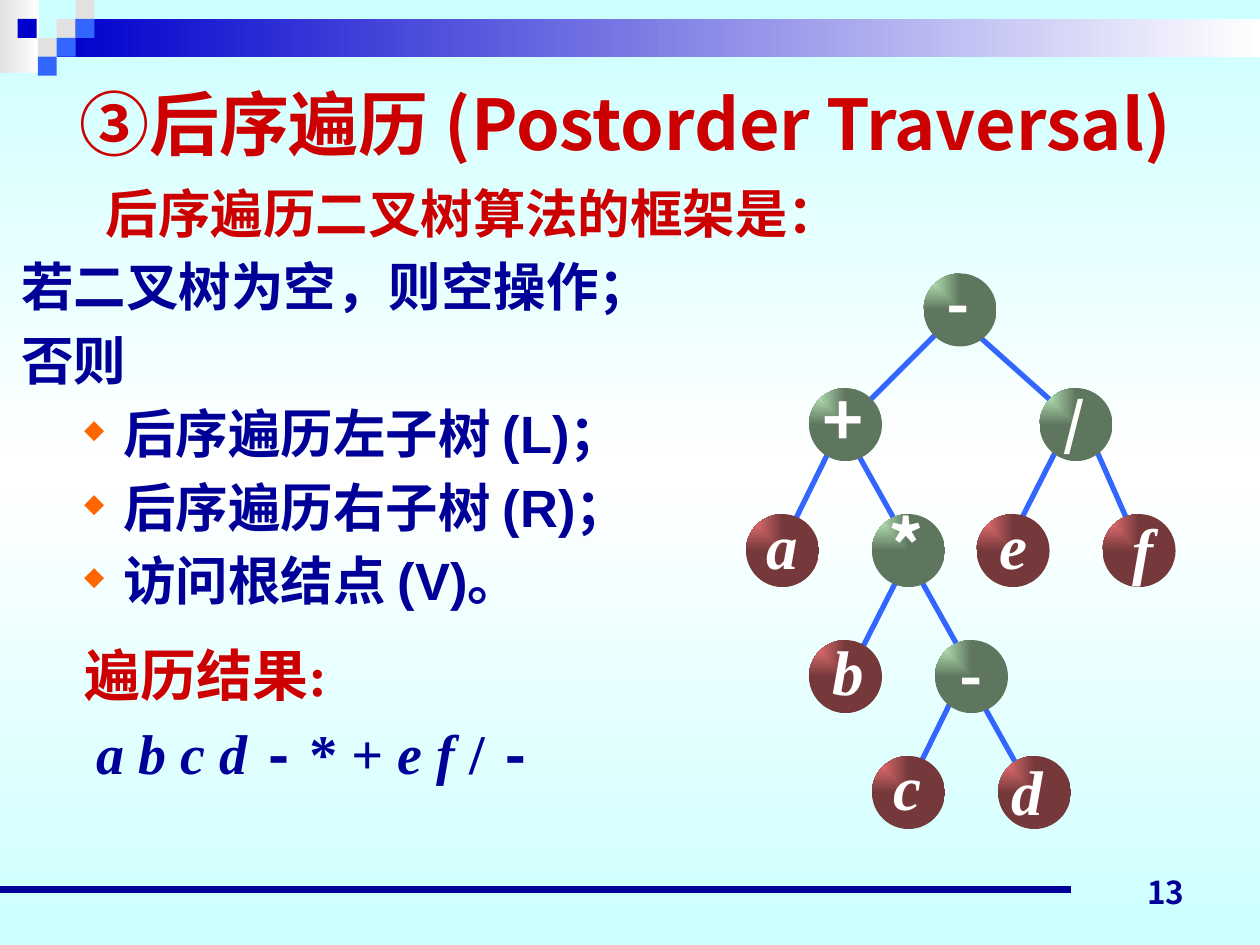
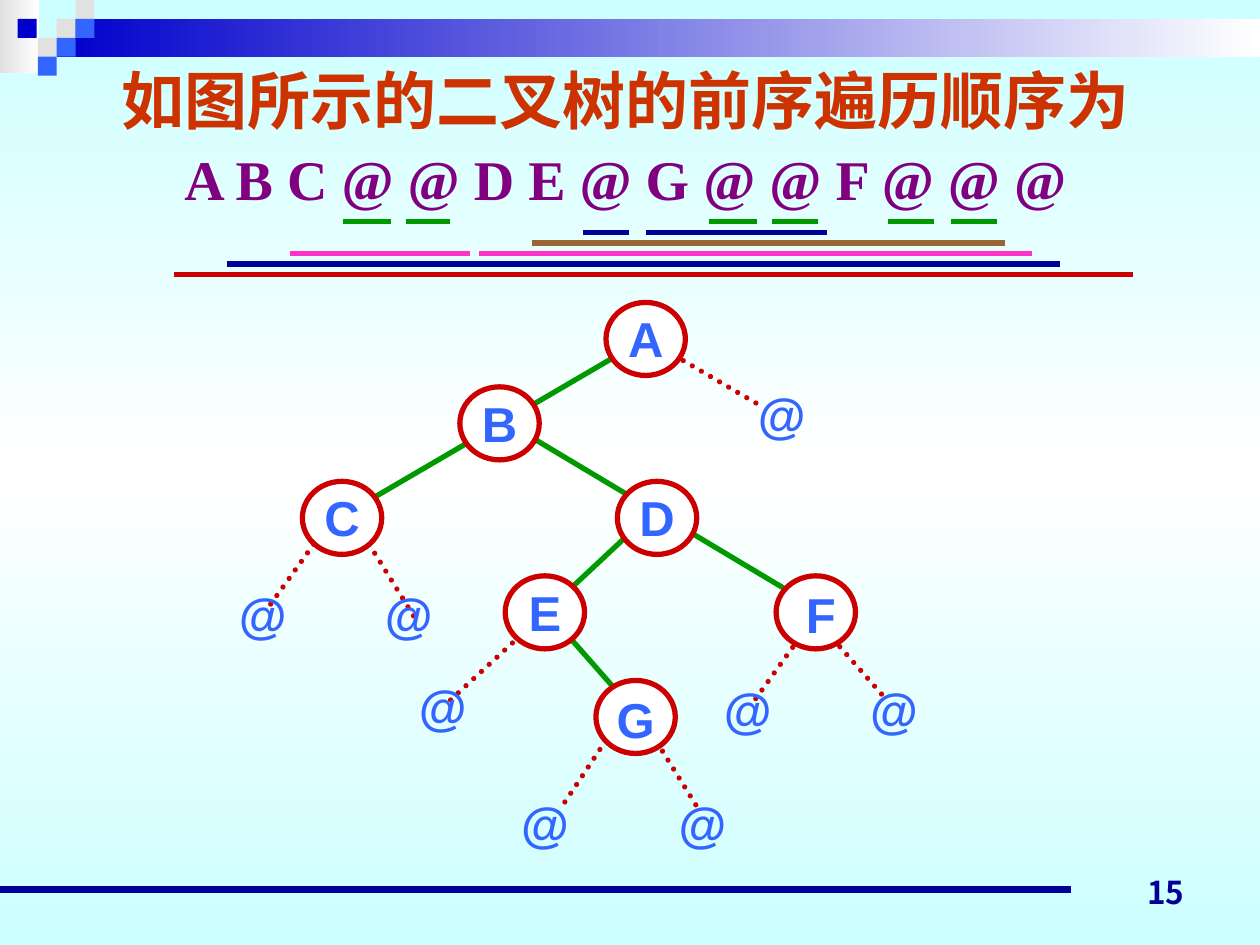
"""Build two lecture slides on binary tree traversal."""
from dataclasses import dataclass, replace

from lxml import etree
from pptx import Presentation
from pptx.dml.color import RGBColor
from pptx.enum import dml, shapes, text
from pptx.oxml.ns import qn
from pptx.util import Inches, Pt


@dataclass(frozen=True)
class Type:
    """Describe the lettering of a run."""
    size: int
    font: str
    color: str
    bold: bool = True
    italic: bool = False


class Theme:
    """Hold the colours and type styles of the deck."""
    NAVY, BLUE, SKY, GREY = "000099", "0000CC", "3366FF", "E1E1E1"
    RED, GREEN, PINK, BROWN, WHITE = "CC0000", "009900", "FF33CC", "996633", "FFFFFF"
    BULLET = "FF6600"
    PAPER = ("CCFFFF", "FFFFFF", "CCFFFF")
    OPERATOR, OPERAND = ("CCFFCC", "5E765E"), ("FF7C80", "76393B")
    CJK = "Noto Sans CJK SC"
    PAGE = Type(18, "Noto Sans CJK JP", NAVY)
    TITLE = Type(40, "Noto Sans CJK JP", RED)
    QUESTION = Type(36, "Times New Roman", "CC3300")
    SEQUENCE = Type(32, "Times New Roman", "800080")
    LEAD = Type(30, "Arial", RED)
    BODY = Type(30, "Arial", NAVY)
    RESULT = Type(32, "Times New Roman", RED)
    ORDER = Type(32, "Times New Roman", NAVY)
    SIGN = Type(36, CJK, WHITE)
    LETTER = Type(36, "Times New Roman", WHITE, italic=True)
    NODE = Type(28, "Arial", SKY)


ORDER_ITALIC = replace(Theme.ORDER, italic=True)
ORDER_MINUS = replace(Theme.ORDER, font="Courier New")
MIDDLE, BOTTOM, TOP = (text.MSO_ANCHOR.MIDDLE, text.MSO_ANCHOR.BOTTOM,
                       text.MSO_ANCHOR.TOP)
LEFT, CENTER, RIGHT = text.PP_ALIGN.LEFT, text.PP_ALIGN.CENTER, text.PP_ALIGN.RIGHT

EXPRESSION_EDGES = [
    (7.75, 5.5, 8.17, 6.25), (8.67, 3.5, 9, 4.25), (6.75, 3.5, 7.17, 4.25),
    (7.25, 4.5, 7.67, 5.25), (8.42, 3.5, 8.08, 4.17), (7.58, 5.5, 7.25, 6.17),
    (7.17, 4.5, 6.83, 5.17), (6.58, 3.58, 6.25, 4.25), (7.67, 2.58, 8.42, 3.25),
    (7.5, 2.58, 6.83, 3.25),
]
OPERATORS = [
    ("-", 36, 7.33, 2.17, 7.6, 2.4), ("+", 40, 6.42, 3.08, 6.69, 3.32),
    ("/", 32, 8.25, 3.08, 8.52, 3.35), ("*", 40, 6.92, 4.08, 7.19, 4.32),
    ("-", 36, 7.42, 5.08, 7.7, 5.35),
]
OPERANDS = [
    ("a", 36, 5.92, 4.08, 6.2, 4.32), ("b", 36, 6.42, 5.08, 6.73, 5.32),
    ("c", 36, 6.92, 6, 7.2, 6.23), ("d", 36, 7.92, 6, 8.15, 6.27),
    ("e", 36, 7.75, 4.08, 8.04, 4.32), ("f", 36, 8.75, 4.08, 9.07, 4.35),
]
EMPTY_EDGES = [
    (4.19, 4.99, 3.56, 5.57), (4.9, 5.74, 4.46, 6.4), (5.17, 5.82, 5.53, 6.4),
    (2.49, 4.32, 2.13, 4.82), (2.93, 4.32, 3.29, 4.9), (6.61, 5.07, 7.05, 5.57),
    (5.35, 2.82, 6.07, 3.24), (6.34, 5.07, 5.98, 5.57),
]
CHILD_EDGES = [
    (4.46, 4.99, 4.9, 5.49), (4.99, 4.24, 4.37, 4.82),
    (4.1, 3.4, 6.34, 4.74), (4.9, 2.82, 2.76, 4.07),
]
NODES = [
    ("A", 4.81, 2.4, 0, 0), ("B", 3.65, 3.07, 0, 0), ("C", 2.4, 3.82, 0, 0),
    ("D", 4.9, 3.82, 0, 0), ("E", 4.01, 4.57, 0, 0), ("G", 4.73, 5.4, 0, 0.02),
    ("F", 6.16, 4.57, 0.04, 0.02),
]
EMPTY_NODES = [(1.77, 4.59), (2.93, 4.59), (3.2, 5.32), (4.01, 6.25),
               (5.26, 6.25), (5.62, 5.34), (6.78, 5.34), (5.89, 3)]
SUBTREE_SPANS = [
    (Theme.GREEN, [(2.72, 3.1), (3.22, 3.57), (5.63, 6.01), (6.13, 6.49),
                   (7.05, 7.41), (7.55, 7.91)]),
    (Theme.NAVY, [(4.63, 4.99), (5.13, 6.56)]),
    (Theme.BROWN, [(4.22, 6.63), (6.55, 7.98)]),
    (Theme.PINK, [(2.3, 3.73), (3.8, 8.19)]),
    (Theme.NAVY, [(1.8, 8.33), (8.05, 8.41)]),
    (Theme.RED, [(1.38, 8.99)]),
]


def rgb(code):
    """Turn a hex code into a colour."""
    return RGBColor.from_string(code)


def paint_gradient(owner, fill, colors, angle=None):
    """Spread colours evenly along an angle, or out of the top left corner."""
    fill.gradient()
    gradient = owner._element.find(".//" + qn("a:gradFill"))
    for child in list(gradient):
        gradient.remove(child)
    stops = etree.SubElement(gradient, qn("a:gsLst"))
    for index, color in enumerate(colors):
        position = str(100000 * index // (len(colors) - 1))
        stop = etree.SubElement(stops, qn("a:gs"), pos=position)
        etree.SubElement(stop, qn("a:srgbClr"), val=color)
    if angle is None:
        corner = etree.SubElement(gradient, qn("a:path"), path="rect")
        etree.SubElement(corner, qn("a:fillToRect"), r="100000", b="100000")
    else:
        etree.SubElement(gradient, qn("a:lin"), ang=str(angle * 60000), scaled="1")


def add_figure(slide, kind, box, fill, outline=None, angle=None):
    """Draw a preset shape with a plain or gradient fill."""
    figure = slide.shapes.add_shape(kind, *map(Inches, box))
    figure.shadow.inherit = False
    if isinstance(fill, str):
        figure.fill.solid()
        figure.fill.fore_color.rgb = rgb(fill)
    else:
        paint_gradient(figure, figure.fill, fill, angle)
    if outline:
        figure.line.color.rgb = rgb(outline)
        figure.line.width = Pt(3)
    else:
        figure.line.fill.background()


def add_line(slide, ends, color, width=3, dotted=False):
    """Draw a straight line between two points."""
    line = slide.shapes.add_connector(shapes.MSO_CONNECTOR.STRAIGHT,
                                      *map(Inches, ends))
    line.line.color.rgb = rgb(color)
    line.line.width = Pt(width)
    if dotted:
        line.line.dash_style = dml.MSO_LINE.ROUND_DOT
        line._element.spPr.find(qn("a:ln")).set("cap", "rnd")
    etree.SubElement(line._element.spPr, qn("a:effectLst"))


def add_frame(slide, box, anchor=MIDDLE, wrap=True, margin=None):
    """Add a text box and return its text frame."""
    frame = slide.shapes.add_textbox(*map(Inches, box)).text_frame
    frame.word_wrap = wrap
    frame.vertical_anchor = anchor
    if margin is not None:
        frame.margin_left = frame.margin_right = Inches(margin)
        frame.margin_top = frame.margin_bottom = Inches(margin)
    return frame


def add_paragraph(frame, runs, align=LEFT, leading=None, before=0, first=False):
    """Write a paragraph run by run and return it."""
    paragraph = frame.paragraphs[0] if first else frame.add_paragraph()
    paragraph.alignment = align
    paragraph.space_before = Pt(before)
    if leading:
        paragraph.line_spacing = Pt(leading)
    for words, style in runs:
        run = paragraph.add_run()
        run.text = words
        run.font.size = Pt(style.size)
        run.font.bold = style.bold
        run.font.italic = style.italic
        run.font.color.rgb = rgb(style.color)
        run.font.name = style.font
        east = style.font if style.font.startswith("Noto") else Theme.CJK
        etree.SubElement(run._r.get_or_add_rPr(), qn("a:ea"), typeface=east)
    return paragraph


def add_label(slide, box, words, style, align=CENTER, **layout):
    """Add a text box with one run."""
    add_paragraph(add_frame(slide, box, **layout), [(words, style)], align, first=True)


def set_indent(paragraph, margin, hanging=0.0, bullet=None):
    """Set the left margin, hanging indent and bullet of a paragraph."""
    properties = paragraph._p.get_or_add_pPr()
    properties.set("marL", str(Inches(margin)))
    properties.set("indent", str(-Inches(hanging)))
    if bullet:
        color = etree.SubElement(properties, qn("a:buClr"))
        etree.SubElement(color, qn("a:srgbClr"), val=Theme.BULLET)
        etree.SubElement(properties, qn("a:buSzPct"), val="50000")
        etree.SubElement(properties, qn("a:buChar"), char=bullet)


def new_slide(deck, number):
    """Add a slide with the top band, squares, footer rule and page number."""
    slide = deck.slides.add_slide(deck.slide_layouts[6])
    rect = shapes.MSO_SHAPE.RECTANGLE
    add_figure(slide, rect, (0, 0, 0.31, 0.58), (Theme.GREY, Theme.WHITE), angle=0)
    add_figure(slide, rect, (0.45, 0.15, 9.55, 0.3), (Theme.BLUE, Theme.WHITE), angle=0)
    squares = [(0.45, 0.15, Theme.GREY), (0.6, 0, Theme.GREY), (0.6, 0.15, Theme.SKY),
               (0.3, 0.3, Theme.GREY), (0.14, 0.15, Theme.BLUE),
               (0.45, 0.3, Theme.SKY), (0.3, 0.45, Theme.SKY)]
    for left, top, color in squares:
        add_figure(slide, rect, (left, top, 0.15, 0.15), color)
    add_line(slide, (0, 7.06, 8.5, 7.06), Theme.NAVY, 4.5)
    add_label(slide, (7.17, 6.78, 2.33, 0.5), number, Theme.PAGE, RIGHT, anchor=BOTTOM)
    return slide


def add_algorithm(slide):
    """Write the postorder steps and the resulting order."""
    frame = add_frame(slide, (0.07, 1.3, 6.8, 5.98), TOP)
    lead = add_paragraph(frame, [("后序遍历二叉树算法的框架是：", Theme.LEAD)],
                         leading=42, first=True)
    set_indent(lead, 0.67)
    for words in ("若二叉树为空，则空操作；", "否则"):
        set_indent(add_paragraph(frame, [(words, Theme.BODY)], leading=42), 0)
    for words in ("后序遍历左子树 (L)；", "后序遍历右子树 (R)；", "访问根结点 (V)。"):
        step = add_paragraph(frame, [(words, Theme.BODY)], leading=42)
        set_indent(step, 0.81, 0.31, "◆")
    result = add_paragraph(frame, [("遍历结果:", Theme.RESULT)], leading=42, before=13)
    set_indent(result, 0.5)
    order = [("a b c d ", ORDER_ITALIC), ("-", ORDER_MINUS), (" * + ", Theme.ORDER),
             ("e f", ORDER_ITALIC), (" / ", Theme.ORDER), ("-", ORDER_MINUS)]
    set_indent(add_paragraph(frame, order, leading=42, before=3), 0.6)


def add_expression_tree(slide):
    """Draw the expression tree of operators and operands."""
    for ends in EXPRESSION_EDGES:
        add_line(slide, ends, Theme.SKY)
    for nodes, fill, style in ((OPERATORS, Theme.OPERATOR, Theme.SIGN),
                               (OPERANDS, Theme.OPERAND, Theme.LETTER)):
        for symbol, size, left, top, center, middle in nodes:
            add_figure(slide, shapes.MSO_SHAPE.OVAL, (left, top, 0.58, 0.58), fill)
            height = size * 1.4 / 72
            box = (center - 0.22, middle - height / 2, 0.45, height)
            add_label(slide, box, symbol, replace(style, size=size),
                      wrap=False, margin=0)


def add_preorder_tree(slide):
    """Draw the binary tree with its empty subtrees."""
    for ends in EMPTY_EDGES:
        add_line(slide, ends, Theme.RED, dotted=True)
    for ends in CHILD_EDGES:
        add_line(slide, ends, Theme.GREEN)
    for name, left, top, right_shift, down_shift in NODES:
        add_figure(slide, shapes.MSO_SHAPE.OVAL, (left, top, 0.63, 0.58),
                   Theme.WHITE, Theme.RED)
        add_label(slide, (left + right_shift, top + down_shift, 0.63, 0.57),
                  name, Theme.NODE)
    for left, top in EMPTY_NODES:
        add_label(slide, (left, top, 0.63, 0.57), "@", Theme.NODE)


def add_subtree_spans(slide):
    """Underline each subtree of the sequence, one level per row."""
    for level, (color, spans) in enumerate(SUBTREE_SPANS):
        height = 1.76 + 0.084 * level
        for start, end in spans:
            add_line(slide, (start, height, end, height), color)


def main():
    """Build and save the deck."""
    deck = Presentation()
    deck.slide_width, deck.slide_height = Inches(10), Inches(7.5)
    master = deck.slide_master
    paint_gradient(master, master.background.fill, Theme.PAPER, 90)

    postorder = new_slide(deck, "13")
    add_algorithm(postorder)
    add_label(postorder, (0.45, 0.56, 9.02, 0.83), "③后序遍历 (Postorder Traversal)",
              Theme.TITLE, margin=0)
    add_expression_tree(postorder)

    preorder = new_slide(deck, "15")
    heading = add_frame(preorder, (0.71, 0.39, 8.51, 1.35))
    add_paragraph(heading, [("如图所示的二叉树的前序遍历顺序为", Theme.QUESTION)],
                  CENTER, 46, first=True)
    add_paragraph(heading, [("A B C @ @ D E @ G @ @ F @ @ @", Theme.SEQUENCE)],
                  CENTER, 43)
    add_preorder_tree(preorder)
    add_subtree_spans(preorder)
    deck.save("out.pptx")


main()
